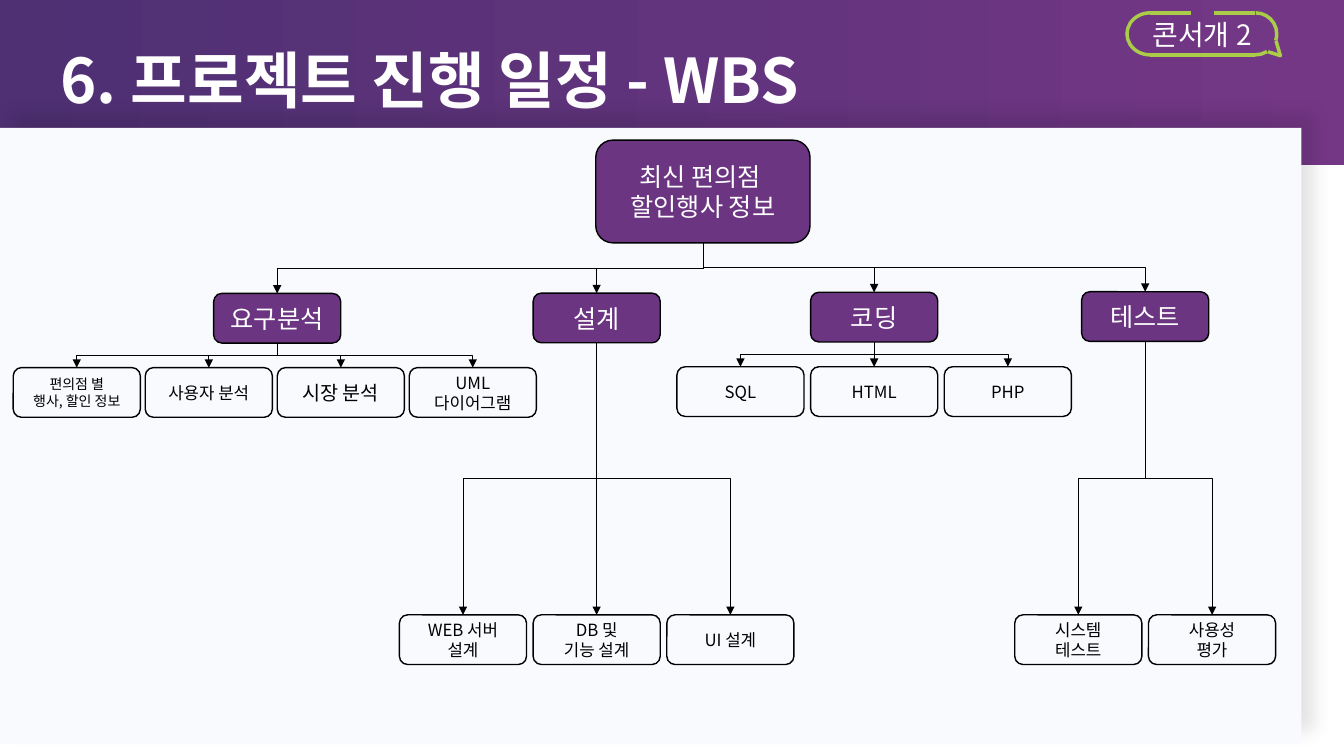
from dataclasses import dataclass

from lxml import etree
from pptx import Presentation
from pptx import util as u
from pptx.dml.color import RGBColor
from pptx.enum import shapes, text
from pptx.oxml import parse_xml
from pptx.oxml.ns import nsdecls, qn

Pt = u.Pt
KIND = shapes.MSO_SHAPE
WIRE = shapes.MSO_CONNECTOR


@dataclass(frozen=True)
class Theme:
    font: str = "Noto Sans CJK KR"
    white: RGBColor = RGBColor(0xFF, 0xFF, 0xFF)
    black: RGBColor = RGBColor(0, 0, 0)
    violet: RGBColor = RGBColor(0x6B, 0x35, 0x82)
    band_left: RGBColor = RGBColor(0x4E, 0x30, 0x73)
    band_right: RGBColor = RGBColor(0x74, 0x37, 0x86)
    panel: RGBColor = RGBColor(0xF9, 0xFA, 0xFE)
    lime: RGBColor = RGBColor(0xAB, 0xCC, 0x49)
    title: int = 44
    team: int = 20
    heading: int = 18


theme = Theme()


def write(shape, words, size, color, align=text.PP_ALIGN.CENTER, bold=False):
    frame = shape.text_frame
    frame.word_wrap = True
    frame.text = words
    for paragraph in frame.paragraphs:
        paragraph.alignment = align
        for run in paragraph.runs:
            run.font.name = theme.font
            run.font.size = Pt(size)
            run.font.bold = bold
            run.font.color.rgb = color
            etree.SubElement(run.font._element, qn("a:ea"), typeface=theme.font)


def style(shape, line=None, width=1, fill=None):
    properties = shape._element.spPr
    if isinstance(shape.shape_type, shapes.MSO_SHAPE_TYPE) and hasattr(shape, "fill"):
        if fill is None:
            shape.fill.background()
        else:
            shape.fill.solid()
            shape.fill.fore_color.rgb = fill
    if line is None:
        shape.line.fill.background()
    else:
        shape.line.color.rgb = line
        shape.line.width = Pt(width)
    etree.SubElement(properties, qn("a:effectLst"))


presentation = Presentation()
presentation.slide_width, presentation.slide_height = Pt(960), Pt(540)
slide = presentation.slides.add_slide(presentation.slide_layouts[6])
canvas = slide.shapes

band = canvas.add_shape(KIND.RECTANGLE, 0, 0, Pt(960), Pt(118))
style(band)
band.fill.gradient()
band.fill.gradient_angle = 0
for stop, color in zip(band.fill.gradient_stops, (theme.band_left, theme.band_right)):
    stop.color.rgb = color
write(band, "6. 프로젝트 진행 일정 - WBS", theme.title, theme.white, text.PP_ALIGN.LEFT, True)
band.text_frame.vertical_anchor = text.MSO_ANCHOR.TOP
title = band.text_frame.paragraphs[0]
title.line_spacing = 1.5
title._p.get_or_add_pPr().set("marL", str(Pt(36)))

panel = canvas.add_shape(KIND.RECTANGLE, 0, Pt(91.4), Pt(929.5), Pt(440))
style(panel, fill=theme.panel)
panel._element.spPr.find(qn("a:effectLst")).append(parse_xml(
    f'<a:outerShdw {nsdecls("a")} blurRad="{Pt(13)}" dist="{Pt(13)}" dir="18900000" '
    'algn="bl" rotWithShape="0"><a:srgbClr val="000000"><a:alpha val="11000"/>'
    '</a:srgbClr></a:outerShdw>'))

bubble = canvas.add_group_shape().shapes
bracket = bubble.add_shape(KIND.LEFT_BRACKET, Pt(805), Pt(9.2), Pt(16.5), Pt(30))
bracket.adjustments[0] = 0.92
style(bracket, theme.lime, 2.5)
for start, end in ((97.02, 162.08), (52.96, 73.55)):
    arc = bubble.add_shape(KIND.ARC, Pt(882), Pt(9.2), Pt(30), Pt(30))
    arc.adjustments[0], arc.adjustments[1] = start, end
    arc._element.spPr.xfrm.set("flipH", "1")
    style(arc, theme.lime, 2.5)
for left, right, y in ((821.5, 896.5, 39.2), (821.5, 851, 9.2), (867, 896.5, 9.2)):
    edge = bubble.add_connector(WIRE.STRAIGHT, Pt(left), Pt(y), Pt(right), Pt(y))
    style(edge, theme.lime, 2.5)
builder = bubble.build_freeform(Pt(911.5), Pt(29.2))
builder.add_line_segments([(Pt(914.6), Pt(39.8)), (Pt(905.8), Pt(37))], close=False)
style(builder.convert_to_shape(), theme.lime, 2.5)

team = canvas.add_textbox(Pt(813.6), Pt(9.2), Pt(90), Pt(31.5))
write(team, "콘서개 2", theme.team, theme.white)
team.text_frame.auto_size = text.MSO_AUTO_SIZE.SHAPE_TO_FIT_TEXT

ROOT_X, ROOT_TOP, ROOT_WIDTH, ROOT_HEIGHT = 502.1, 100.1, 153, 73.4
BOX_WIDTH, BOX_HEIGHT = 90.8, 35.5
branches = [
    ("요구분석", 198, 209.6, 262.6, 196.3, 94.3,
     [("편의점 별\n행사, 할인 정보", 10), ("사용자 분석", 12), ("시장 분석", 14),
      ("UML\n다이어그램", 12)]),
    ("설계", 426.2, 209.4, 439.2, 426.2, 95.5,
     [("WEB 서버\n설계", 12), ("DB 및\n기능 설계", 12), ("UI 설계", 12)]),
    ("코딩", 624.4, 208.8, 262, 624.4, 95.5,
     [("SQL", 12), ("HTML", 12), ("PHP", 12)]),
    ("테스트", 818, 208.4, 439.2, 818, 95.5,
     [("시스템\n테스트", 12), ("사용성\n평가", 12)]),
]

boxes = [("최신 편의점 \n할인행사 정보", theme.heading, ROOT_X, ROOT_TOP,
          ROOT_WIDTH, ROOT_HEIGHT, theme.violet, theme.white)]
links = []
for name, x, top, leaf_top, middle, pitch, leaves in branches:
    boxes.append((name, theme.heading, x, top, BOX_WIDTH, BOX_HEIGHT, theme.violet, theme.white))
    links.append((ROOT_X, ROOT_TOP + ROOT_HEIGHT, x, top))
    for index, (words, size) in enumerate(leaves):
        leaf_x = middle + (index - (len(leaves) - 1) / 2) * pitch
        boxes.append((words, size, leaf_x, leaf_top, BOX_WIDTH, BOX_HEIGHT, None, theme.black))
        links.append((x, top + BOX_HEIGHT, leaf_x, leaf_top))

for words, size, x, top, width, height, fill, color in boxes:
    box = canvas.add_shape(KIND.ROUNDED_RECTANGLE, Pt(x - width / 2), Pt(top),
                           Pt(width), Pt(height))
    style(box, theme.black, 1, fill)
    write(box, words, size, color)
    box.text_frame.vertical_anchor = text.MSO_ANCHOR.MIDDLE

for x1, y1, x2, y2 in links:
    if x1 == x2:
        arrow = canvas.add_connector(WIRE.STRAIGHT, Pt(x1), Pt(y1), Pt(x2), Pt(y2))
    else:
        side = 1 if x2 < x1 else -1
        center_x, center_y = (x1 + x2) / 2, (y1 + y2) / 2
        half_drop, half_span = side * (y2 - y1) / 2, abs(x2 - x1) / 2
        arrow = canvas.add_connector(
            WIRE.ELBOW, Pt(center_x - half_drop), Pt(center_y - half_span),
            Pt(center_x + half_drop), Pt(center_y + half_span))
        arrow._element.spPr.xfrm.set("rot", str((90 if side > 0 else 270) * 60000))
    style(arrow, theme.black, 0.5)
    etree.SubElement(arrow.line._get_or_add_ln(), qn("a:tailEnd"), type="triangle")

presentation.save("out.pptx")
